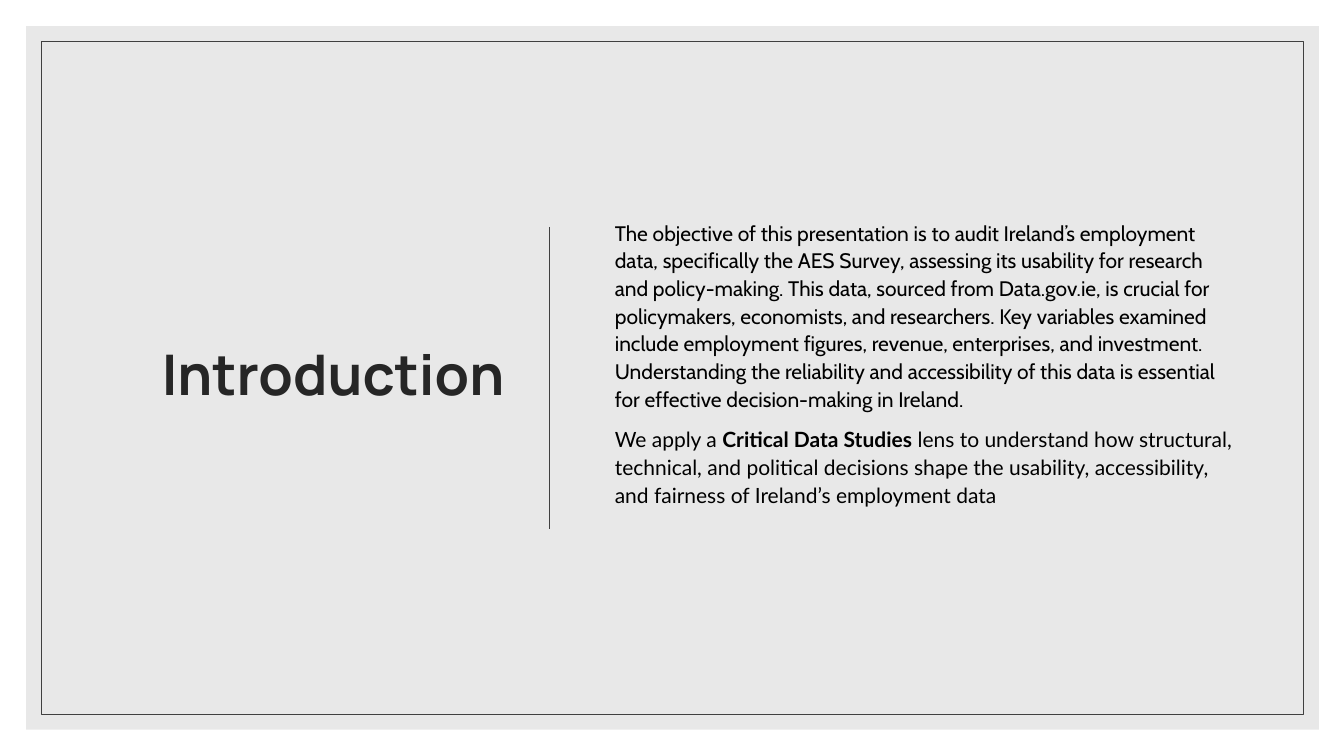
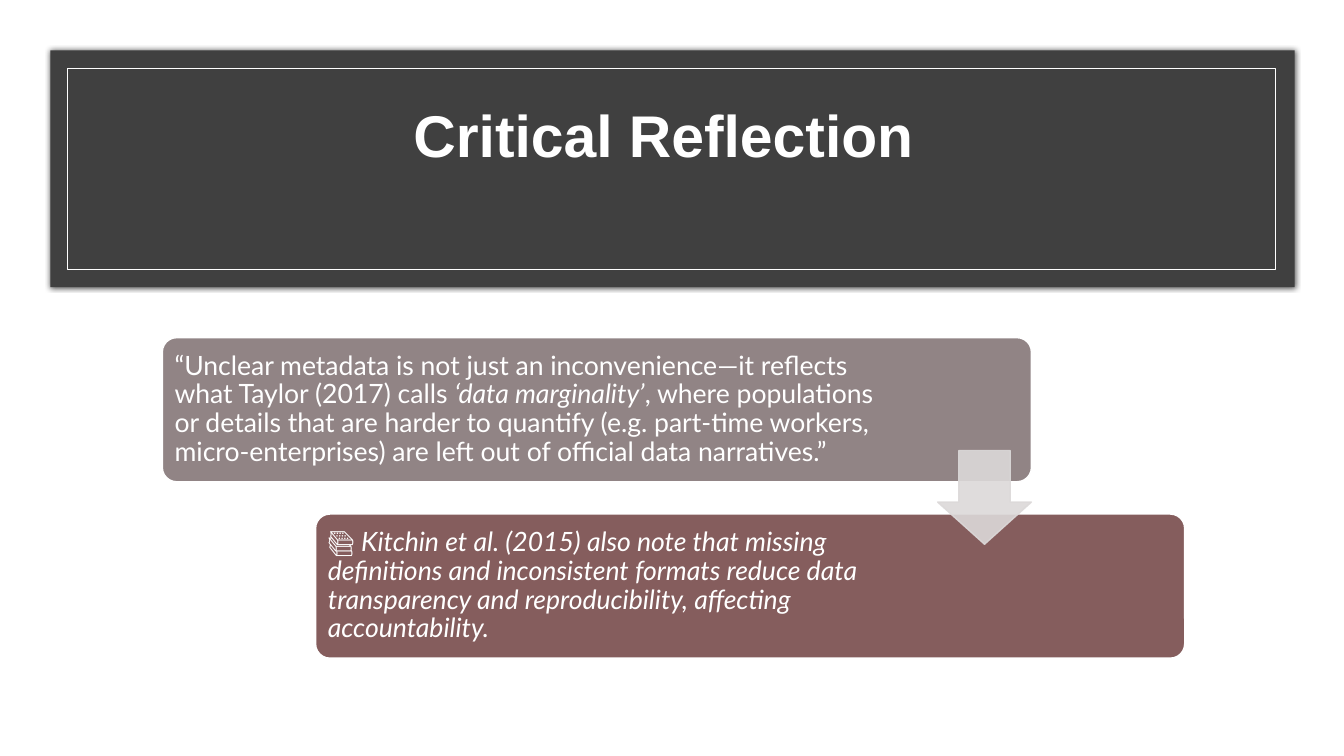
from dataclasses import dataclass
from typing import Optional

from lxml import etree
from pptx import Presentation
from pptx.dml.color import RGBColor
from pptx.enum import shapes, text
from pptx.oxml.ns import qn
from pptx.util import Inches, Pt

WHITE = "FFFFFF"
BLACK = "000000"
CHARCOAL = "404040"
TITLE_INK = "262626"
PANEL_GREY = "D9D9D9"
ARROW_GREY = "DCD9D9"


@dataclass(frozen=True)
class Box:
    left: float
    top: float
    width: float
    height: float

    def lengths(self):
        return [Inches(n) for n in (self.left, self.top, self.width, self.height)]


@dataclass(frozen=True)
class Run:
    text: str
    font: str = "Lato"
    bold: bool = False
    italic: bool = False


@dataclass(frozen=True)
class QuoteCard:
    left: float
    top: float
    fill: str
    right_inset: float
    runs: list[Run]


def rgb(color: str) -> RGBColor:
    return RGBColor.from_string(color)


def set_opacity(fill_parent, percent: int) -> None:
    """Make the solid fill directly below an element partly transparent."""
    color = fill_parent.find(qn("a:solidFill"))[0]
    etree.SubElement(color, qn("a:alpha"), val=str(percent * 1000))


def add_glow_shadow(shape, color: str, opacity: int, blur: float) -> None:
    """Add a soft shadow that spreads evenly around the shape."""
    effects = shape._element.spPr.find(qn("a:effectLst"))
    shadow = etree.SubElement(effects, qn("a:outerShdw"), blurRad=str(Pt(blur)),
                              dist="0", dir="0", algn="ctr", rotWithShape="0")
    tint = etree.SubElement(shadow, qn("a:srgbClr"), val=color)
    etree.SubElement(tint, qn("a:alpha"), val=str(opacity * 1000))


def add_shape(slide, box: Box, *, kind=shapes.MSO_SHAPE.RECTANGLE,
              fill: Optional[str] = None, line: Optional[str] = None,
              line_width: float = 1, opacity: int = 100, adjustments=()):
    shape = slide.shapes.add_shape(kind, *box.lengths())
    shape.shadow.inherit = False
    for index, value in enumerate(adjustments):
        shape.adjustments[index] = value
    if fill:
        shape.fill.solid()
        shape.fill.fore_color.rgb = rgb(fill)
    else:
        shape.fill.background()
    if line:
        shape.line.color.rgb = rgb(line)
        shape.line.width = Pt(line_width)
    else:
        shape.line.fill.background()
    if opacity < 100:
        properties = shape._element.spPr
        if fill:
            set_opacity(properties, opacity)
        if line:
            set_opacity(properties.find(qn("a:ln")), opacity)
    return shape


def write_text(shape, paragraphs: list[list[Run]], *, size: float, color: str,
               align=text.PP_ALIGN.LEFT, line_spacing: float = 0.9,
               space_before: float = 0, indent: float = 0) -> None:
    frame = shape.text_frame
    frame.word_wrap = True
    frame.vertical_anchor = text.MSO_ANCHOR.MIDDLE
    for index, runs in enumerate(paragraphs):
        paragraph = frame.add_paragraph() if index else frame.paragraphs[0]
        paragraph.alignment = align
        paragraph.line_spacing = line_spacing
        paragraph.space_before = Pt(space_before if index else 0)
        if indent:
            paragraph._p.get_or_add_pPr().set("marL", str(Inches(indent)))
        for item in runs:
            run = paragraph.add_run()
            run.text = item.text
            run.font.name = item.font
            run.font.size = Pt(size)
            run.font.bold = item.bold
            run.font.italic = item.italic
            run.font.color.rgb = rgb(color)


def add_text(slide, box: Box, paragraphs: list[list[Run]], **style) -> None:
    write_text(slide.shapes.add_textbox(*box.lengths()), paragraphs, **style)


def add_title(slide, box: Box, title: str, font: str, **style) -> None:
    add_text(slide, box, [[Run(title, font, bold=True)]], **style)


def add_framed_panel(slide, panel: Box, frame: Box, *, fill: str, line: str,
                     opacity: int = 100):
    """Draw a filled panel with a thin outline inside it."""
    background = add_shape(slide, panel, fill=fill, opacity=opacity)
    add_shape(slide, frame, line=line, line_width=0.5)
    return background


def add_divider(slide, x: float, top: float, bottom: float) -> None:
    divider = slide.shapes.add_connector(
        shapes.MSO_CONNECTOR.STRAIGHT, Inches(x), Inches(top), Inches(x), Inches(bottom))
    divider.line.color.rgb = rgb(CHARCOAL)
    divider.line.width = Pt(1.25)
    etree.SubElement(divider._element.spPr, qn("a:effectLst"))


def add_quote_card(slide, card: QuoteCard) -> None:
    shape = add_shape(slide, Box(card.left, card.top, 8.62, 1.43),
                      kind=shapes.MSO_SHAPE.ROUNDED_RECTANGLE,
                      fill=card.fill, line=WHITE, adjustments=[0.1])
    frame = shape.text_frame
    frame.margin_left = frame.margin_top = frame.margin_bottom = Inches(0.08)
    frame.margin_right = Inches(card.right_inset)
    write_text(shape, [card.runs], size=19, color=WHITE)


INTRODUCTION = [
    [Run("The objective of this presentation is to audit Ireland’s employment data, "
         "specifically the AES Survey, assessing its usability for research and "
         "policy-making. This data, sourced from Data.gov.ie, is crucial for "
         "policymakers, economists, and researchers. Key variables examined include "
         "employment figures, revenue, enterprises, and investment. Understanding the "
         "reliability and accessibility of this data is essential for effective "
         "decision-making in Ireland.", "Cabin")],
    [Run("We apply a "),
     Run("Critical Data Studies", bold=True),
     Run(" lens to understand how structural, technical, and political decisions shape "
         "the usability, accessibility, and fairness of Ireland’s employment data")],
]

QUOTES = [
    QuoteCard(1.61, 3.35, "918485", 1.48, [
        Run("“Unclear metadata is not just an inconvenience—it reflects what "
            "Taylor (2017) calls "),
        Run("‘data marginality’", italic=True),
        Run(", where populations or details that are harder to quantify (e.g. part-time "
            "workers, micro-enterprises) are left out of official data narratives.”"),
    ]),
    QuoteCard(3.13, 5.1, "855D5D", 2.54, [
        Run("📚 "),
        Run("Kitchin et al. (2015) also note that missing definitions and inconsistent "
            "formats reduce data transparency and reproducibility, affecting "
            "accountability.", italic=True),
    ]),
]


def build_introduction(slide) -> None:
    add_framed_panel(slide, Box(0.26, 0.26, 12.82, 6.98), Box(0.41, 0.41, 12.52, 6.68),
                     fill=PANEL_GREY, line=CHARCOAL, opacity=60)
    add_title(slide, Box(0.79, 0.97, 4.31, 5.55), "Introduction", "Manrope",
              size=40, color=TITLE_INK, align=text.PP_ALIGN.RIGHT)
    add_divider(slide, 5.45, 2.25, 5.25)
    add_text(slide, Box(5.8, 0.97, 6.54, 5.25), INTRODUCTION, size=15, color=BLACK,
             line_spacing=1.1, space_before=9, indent=0.2)


def build_reflection(slide) -> None:
    banner = add_framed_panel(slide, Box(0.5, 0.5, 12.34, 2.35),
                              Box(0.67, 0.68, 11.98, 1.99), fill=CHARCOAL, line=WHITE)
    add_glow_shadow(banner, BLACK, opacity=66, blur=4)
    add_title(slide, Box(1.08, 0.92, 11, 0.9), "Critical Reflection", "Arial",
              size=42, color=WHITE, align=text.PP_ALIGN.CENTER)
    for card in QUOTES:
        add_quote_card(slide, card)
    add_shape(slide, Box(9.3, 4.47, 0.93, 0.93), kind=shapes.MSO_SHAPE.DOWN_ARROW,
              fill=ARROW_GREY, line=ARROW_GREY, opacity=90, adjustments=[0.55, 0.45])


def main() -> None:
    presentation = Presentation()
    presentation.slide_width = Inches(13.33)
    presentation.slide_height = Inches(7.5)
    blank = presentation.slide_layouts[6]
    for build in (build_introduction, build_reflection):
        build(presentation.slides.add_slide(blank))
    presentation.save("out.pptx")


if __name__ == "__main__":
    main()
